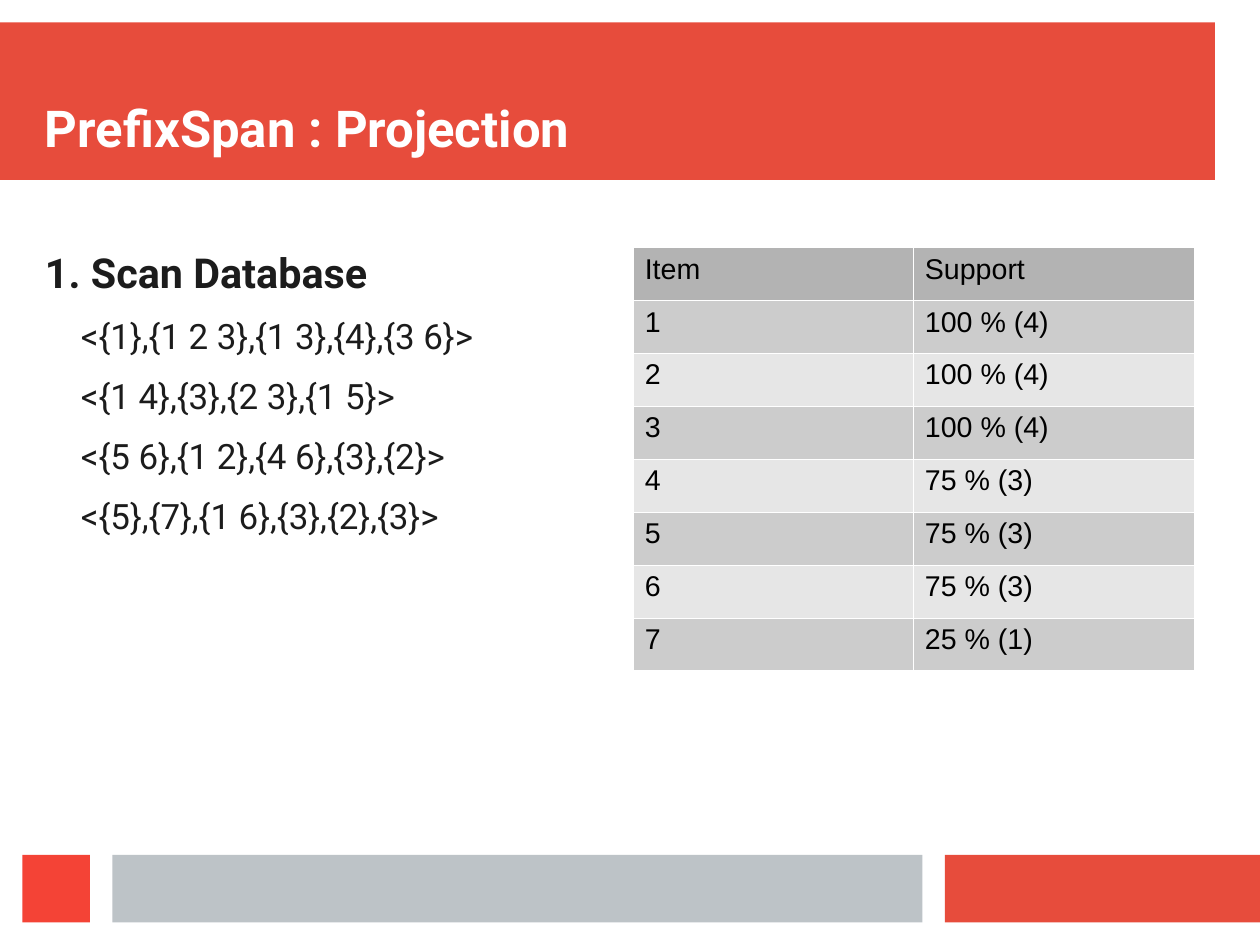
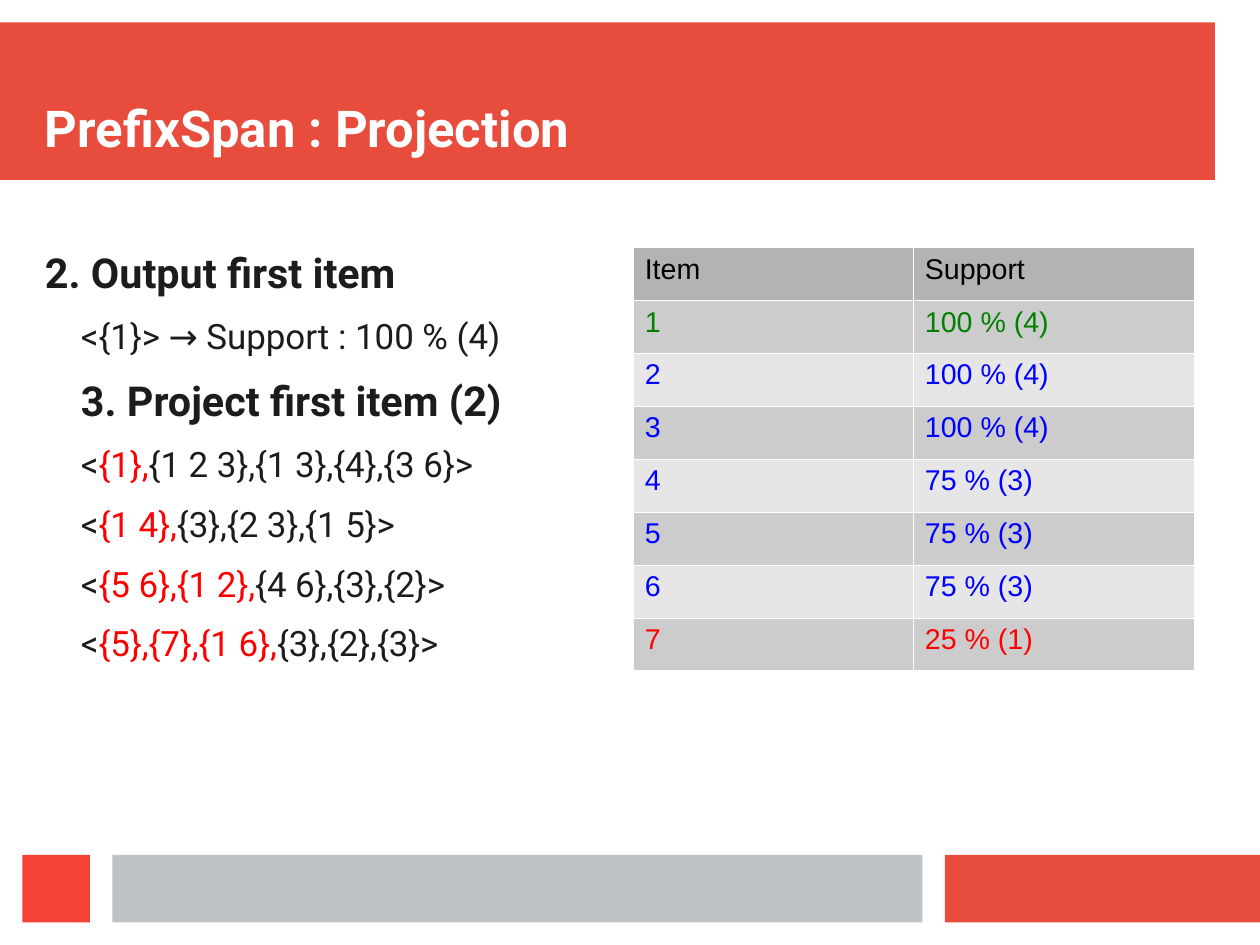
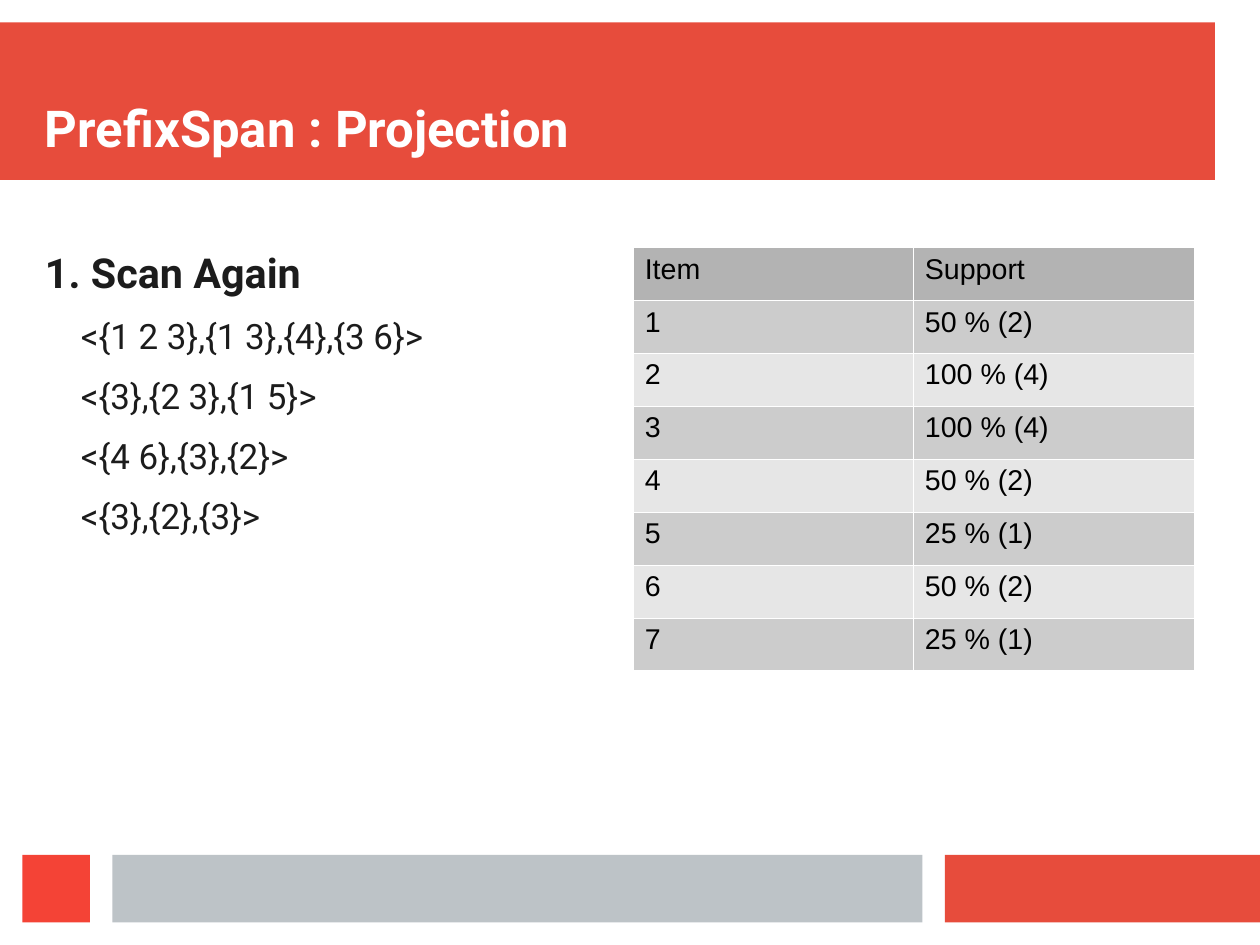
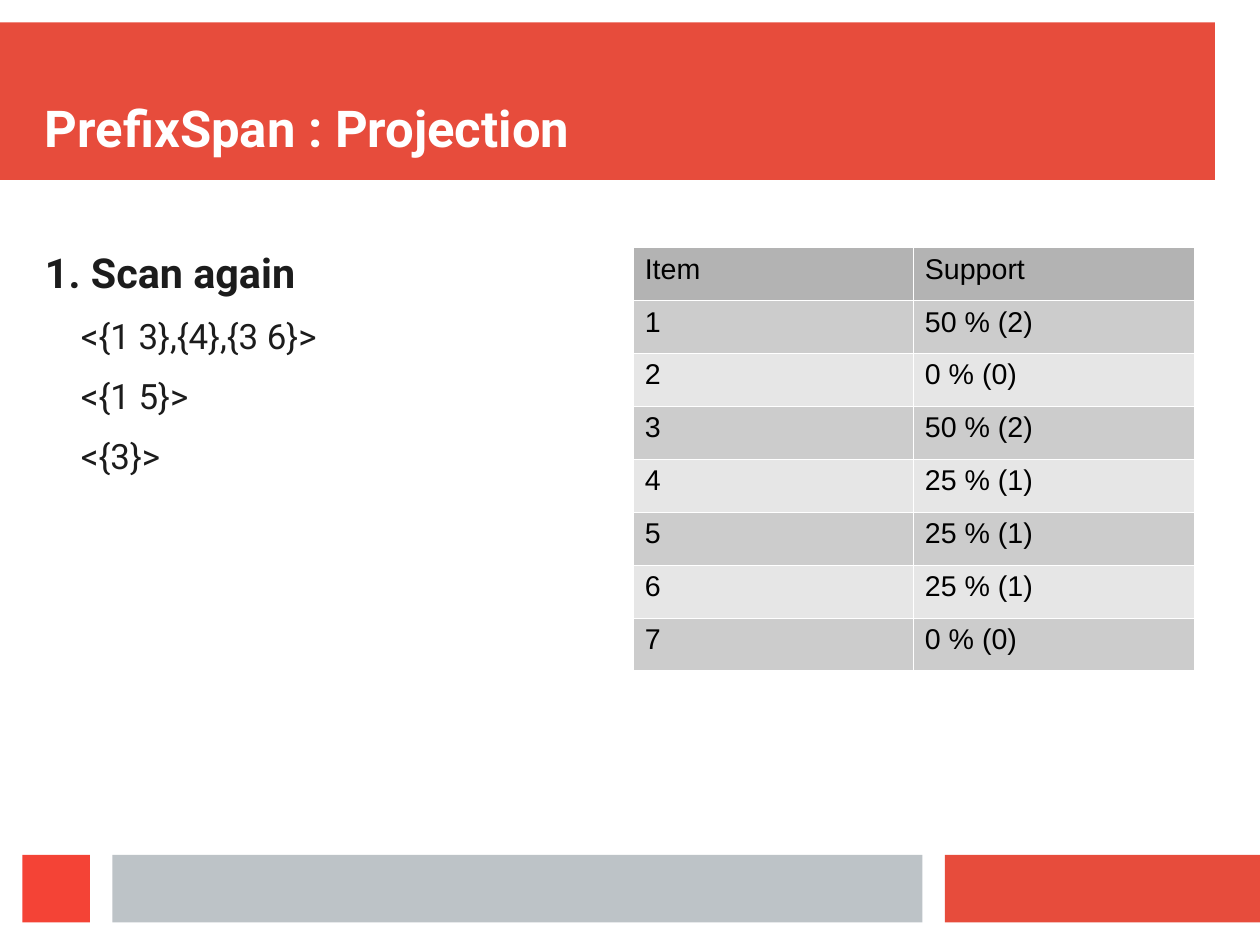
from pptx import Presentation
from pptx.dml.color import RGBColor
from pptx.enum.shapes import MSO_SHAPE
from pptx.enum.text import MSO_ANCHOR, MSO_AUTO_SIZE
from pptx.oxml import parse_xml
from pptx.oxml.ns import nsdecls, qn
from pptx.util import Cm, Pt

RECTANGLE = MSO_SHAPE.RECTANGLE
BOTTOM, TOP = MSO_ANCHOR.BOTTOM, MSO_ANCHOR.TOP
NO_FIT = MSO_AUTO_SIZE.NONE

COLUMNS, ROWS = 56, 42
UNIT = Cm(0.5)
INDENT = 1.6

CORAL, RED_SQUARE, SILVER = "E74C3C", "F44336", "BDC3C7"
INK, WHITE, BLACK = "1C1C1C", "FFFFFF", "000000"
RED, GREEN, BLUE = "FF0000", "008000", "0000FF"
HEADER_FILL, ROW_FILLS = "B3B3B3", ("E6E6E6", "CCCCCC")

TITLE = "PrefixSpan : Projection"
BANDS = [
    (0, 1, 54, 7, CORAL),
    (42, 38, 14, 3, CORAL),
    (5, 38, 36, 3, SILVER),
    (1, 38, 3, 3, RED_SQUARE),
]
PLAIN = [BLACK] * 7
FIRST_COUNTS = [4, 4, 4, 3, 3, 3, 1]
STEPS = [
    (["1. Scan Database",
      "<{1},{1 2 3},{1 3},{4},{3 6}>",
      "<{1 4},{3},{2 3},{1 5}>",
      "<{5 6},{1 2},{4 6},{3},{2}>",
      "<{5},{7},{1 6},{3},{2},{3}>"],
     FIRST_COUNTS, PLAIN),
    (["2. Output first item",
      "<{1}> → Support : 100 % (4)",
      "3. Project first item (2)",
      "<|{1},|{1 2 3},{1 3},{4},{3 6}>",
      "<|{1 4},|{3},{2 3},{1 5}>",
      "<|{5 6},{1 2},|{4 6},{3},{2}>",
      "<|{5},{7},{1 6},|{3},{2},{3}>"],
     FIRST_COUNTS, [GREEN] + [BLUE] * 5 + [RED]),
    (["1. Scan Again",
      "<{1 2 3},{1 3},{4},{3 6}>",
      "<{3},{2 3},{1 5}>",
      "<{4 6},{3},{2}>",
      "<{3},{2},{3}>"],
     [2, 4, 4, 2, 1, 2, 1], PLAIN),
    (["1. Scan again",
      "<{1 3},{4},{3 6}>",
      "<{1 5}>",
      "<{3}>"],
     [2, 0, 2, 1, 1, 1, 0], PLAIN),
]


def rgb(color):
    return RGBColor.from_string(color)


def write(paragraph, text, size=22, color=INK, bold=False, font="Roboto"):
    run = paragraph.add_run()
    run.text = text
    run.font.name = font
    run.font.size = Pt(size)
    run.font.bold = bold
    run.font.color.rgb = rgb(color)


deck = Presentation()
deck.slide_width = COLUMNS * UNIT
deck.slide_height = ROWS * UNIT
layout = deck.slide_layouts[5]

for number, (lines, counts, colors) in enumerate(STEPS):
    slide = deck.slides.add_slide(layout)

    if number == 0:
        for position, (*place, color) in enumerate(BANDS):
            band = slide.shapes.add_shape(RECTANGLE, *(int(n * UNIT) for n in place))
            band.shadow.inherit = False
            band.fill.solid()
            band.fill.fore_color.rgb = rgb(color)
            band.line.fill.background()
            band.element.nvSpPr.cNvPr.id = 100 + position
            layout.shapes.element.insert(2 + position, band.element)

    title = slide.shapes.title
    title.left, title.top, title.width, title.height = (n * UNIT for n in (2, 2, 52, 5))
    sequences = slide.shapes.add_textbox(*(n * UNIT for n in (2, 11, 25, 26)))
    for frame, anchor in ((title.text_frame, BOTTOM), (sequences.text_frame, TOP)):
        frame.margin_left = frame.margin_top = frame.margin_right = frame.margin_bottom = 0
        frame.word_wrap = True
        frame.auto_size = NO_FIT
        frame.vertical_anchor = anchor
    heading = title.text_frame.paragraphs[0]
    heading.alignment = 1
    write(heading, TITLE, size=32, color=WHITE, bold=True)

    for row, line in enumerate(lines):
        frame = sequences.text_frame
        paragraph = frame.add_paragraph() if row else frame.paragraphs[0]
        is_heading = line[0].isdigit()
        paragraph.space_after = Pt(11.4 if is_heading else 11.3)
        if row:
            paragraph._p.get_or_add_pPr().set("marL", str(int(INDENT * UNIT)))
        for part, text in enumerate(line.split("|")):
            write(paragraph, text, size=26 if is_heading else 22,
                  color=RED if part % 2 else INK, bold=is_heading)

    supports = [("Item", "Support", BLACK)]
    for item, (count, color) in enumerate(zip(counts, colors), 1):
        supports.append((str(item), f"{25 * count} % ({count})", color))
    grid = slide.shapes.add_table(
        len(supports), 2, *(int(n * UNIT) for n in (28.15, 11, 24.9, 2.35 * len(supports))))
    grid.table.first_row = False
    grid.table.horz_banding = False
    for row, (*texts, color) in enumerate(supports):
        for column, text in enumerate(texts):
            cell = grid.table.cell(row, column)
            cell.fill.solid()
            cell.fill.fore_color.rgb = rgb(ROW_FILLS[row % 2] if row else HEADER_FILL)
            write(cell.text_frame.paragraphs[0], text, size=18, color=color, font="Arial")
    for properties in grid.element.iter(qn("a:tcPr")):
        for position, side in enumerate("LRTB"):
            properties.insert(position, parse_xml(
                f'<a:ln{side} {nsdecls("a")} w="762"><a:solidFill>'
                f'<a:srgbClr val="{WHITE}"/></a:solidFill></a:ln{side}>'))

deck.save("out.pptx")
